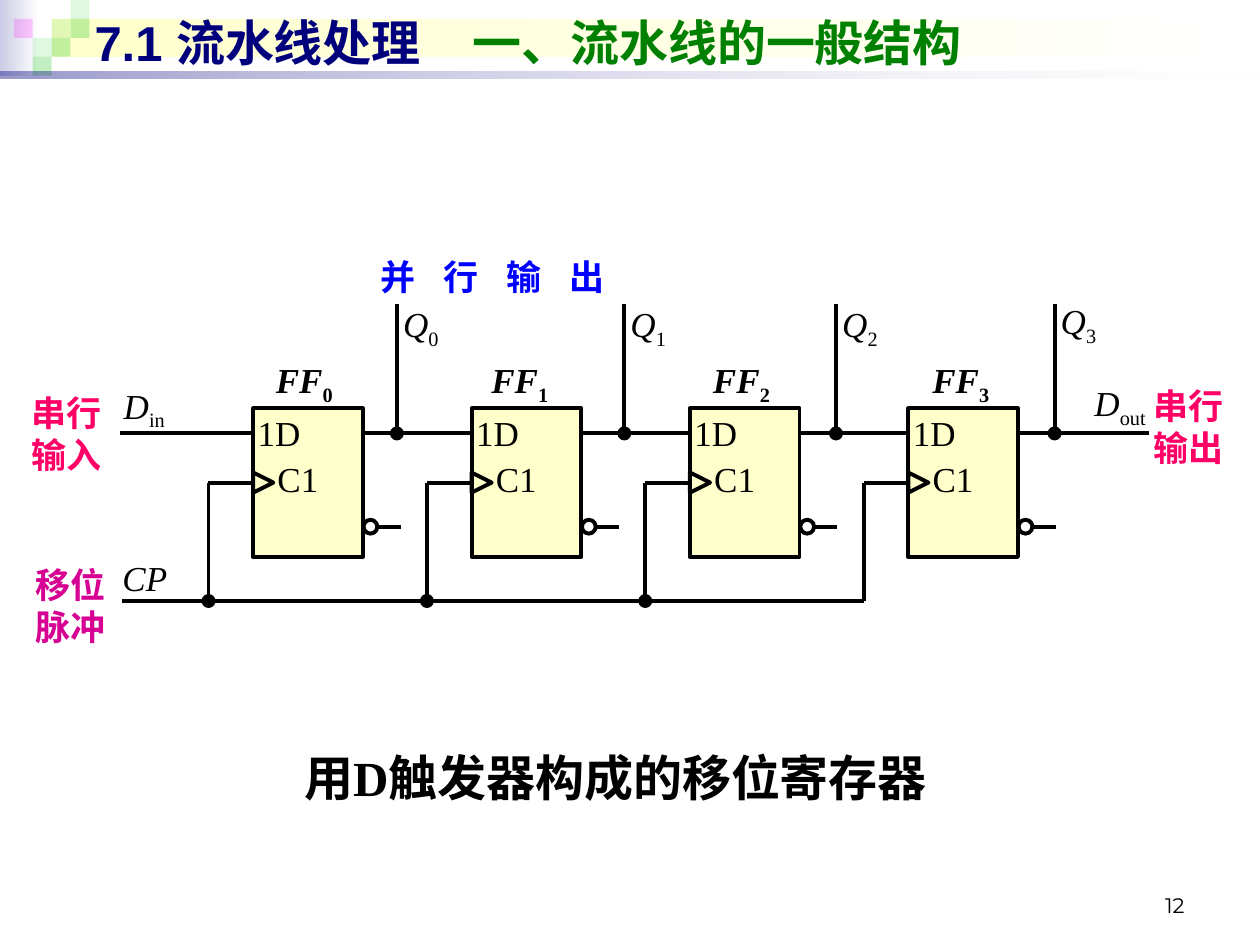
from lxml import etree
from pptx import Presentation
from pptx import util as u
from pptx.dml.color import RGBColor
from pptx.enum import shapes, text
from pptx.oxml.ns import qn

BLACK = RGBColor(0x00, 0x00, 0x00)
WHITE = RGBColor(0xFF, 0xFF, 0xFF)
CREAM = RGBColor(0xFF, 0xFF, 0xCC)
LAVENDER = RGBColor(0xCC, 0xCC, 0xE6)
NAVY = RGBColor(0x00, 0x00, 0x7D)
BLUE = RGBColor(0x00, 0x00, 0xFF)
GREEN = RGBColor(0x00, 0x80, 0x00)
LIME = RGBColor(0x33, 0xCC, 0x33)
MAGENTA = RGBColor(0xFF, 0x00, 0xFF)
PINK = RGBColor(0xFF, 0x00, 0x66)
PURPLE = RGBColor(0xD6, 0x00, 0x93)

SHAPE = shapes.MSO_SHAPE
LEFT, CENTER, RIGHT = text.PP_ALIGN.LEFT, text.PP_ALIGN.CENTER, text.PP_ALIGN.RIGHT
MIDDLE, BOTTOM = text.MSO_ANCHOR.MIDDLE, text.MSO_ANCHOR.BOTTOM
LINE_WIDTH = u.Pt(2.25)

prs = Presentation()
prs.slide_width, prs.slide_height = u.Inches(10), u.Inches(7.5)
G = prs.slide_width / 100  # square grid: 100 columns by 75 rows
s = prs.slides.add_slide(prs.slide_layouts[1])
title, body = s.placeholders


def draw(kind, box, colors=(), alphas=(), line=None):
    """Add a preset shape with no fill, a plain fill or a two-colour gradient."""
    sp = s.shapes.add_shape(kind, *[round(v * G) for v in box])
    sp.shadow.inherit = False
    if len(colors) == 2:
        sp.fill.gradient()
        sp.fill.gradient_angle = 0
        for stop, color in zip(sp.fill.gradient_stops, colors):
            stop.color.rgb = color
    elif colors:
        sp.fill.solid()
        sp.fill.fore_color.rgb = colors[0]
    else:
        sp.fill.background()
    for clr, alpha in zip(sp.element.spPr.iter(qn("a:srgbClr")), alphas):
        etree.SubElement(clr, qn("a:alpha"), val=str(alpha * 1000))
    if line is None:
        sp.line.fill.background()
    else:
        sp.line.color.rgb = line
        sp.line.width = LINE_WIDTH
    return sp


def write(box, paras, sp=None, align=CENTER, anchor=text.MSO_ANCHOR.TOP,
          wrap=False, tabs=(), color=BLACK, **fmt):
    """Write paragraphs of (text, format) runs into a placeholder or a new box."""
    rect = [round(v * G) for v in box]
    sp = sp or s.shapes.add_textbox(*rect)
    sp.left, sp.top, sp.width, sp.height = rect
    tf = sp.text_frame
    tf.auto_size = text.MSO_AUTO_SIZE.NONE
    tf.word_wrap, tf.vertical_anchor = wrap, anchor
    for i, runs in enumerate(paras):
        p = tf.add_paragraph() if i else tf.paragraphs[0]
        p.alignment, p.space_before = align, u.Pt(0)
        pPr = p._p.get_or_add_pPr()
        pPr.set("marL", "0")
        pPr.set("indent", "0")
        etree.SubElement(pPr, qn("a:buNone"))
        if tabs:
            tab_list = etree.SubElement(pPr, qn("a:tabLst"))
            for tab in tabs:
                etree.SubElement(tab_list, qn("a:tab"), pos=str(round(tab * G)), algn="l")
        for words, own in runs:
            r = p.add_run()
            r.text = words
            values = {"name": "Times New Roman", "size": u.Pt(20), **fmt, **own}
            if values.pop("sub", False):
                r._r.get_or_add_rPr().set("baseline", "-25000")
            r.font.color.rgb = values.pop("color", color)
            for key, value in values.items():
                setattr(r.font, key, value)


# Header decoration
draw(SHAPE.RECTANGLE, (0, 0, 3.1, 6), (LAVENDER, WHITE))
draw(SHAPE.RECTANGLE, (4.1, 1.5, 95.5, 3), (CREAM, WHITE))
TILE = 1.5
for col, row, color, alpha in [
    (2, 1, LIME, 15), (3, 0, LIME, 15), (3, 1, LIME, 30), (1, 2, LIME, 15),
    (0, 1, MAGENTA, 20), (2, 2, LIME, 30), (1, 3, LIME, 30),
]:
    draw(SHAPE.RECTANGLE, (1.1 + col * TILE, row * TILE, TILE, TILE), (color,), (alpha,))
draw(SHAPE.RECTANGLE, (0, 5.7, 100, 0.5), (NAVY, WHITE), (40, 10))

# Title (in front of the decoration), caption and page number
s.shapes.element.append(title.element)
write((6.5, 0.5, 92.3, 5.7),
      [[("7.1 流水线处理\t", {"color": NAVY}), ("一、流水线的一般结构", {"color": GREEN})]],
      title, LEFT, MIDDLE, True, tabs=[32], name="Arial", size=u.Pt(28), bold=True)
write((6.7, 58.8, 84.3, 5.7), [[("用D触发器构成的移位寄存器", {})]],
      body, wrap=True, size=u.Pt(28), bold=True)
write((71.7, 68.3, 23.3, 5), [[("12", {})]], align=RIGHT, anchor=BOTTOM,
      wrap=True, name="Montserrat", size=u.Pt(12))

# Flip-flops
FF_X, FF_Y, FF_W, FF_H, PITCH = 20.1, 32.4, 8.7, 11.8, 17.33
DATA_Y, CLOCK_Y, BUBBLE_Y, BUS_Y, TAP_Y = 34.4, FF_Y + FF_H / 2, 41.8, 47.7, 24.1
TAPS = [31.5, 49.55, 66.35, 83.7]
NAMES_X = [20.8, 37.9, 55.5, 72.9]
wires, dots = [], []
for n, (tap, name_x) in enumerate(zip(TAPS, NAMES_X)):
    x = FF_X + n * PITCH
    right, clock_x = x + FF_W, x - 3.55
    end = x + PITCH if n < 3 else 91.2
    ff = draw(SHAPE.RECTANGLE, (x, FF_Y, FF_W, FF_H), (CREAM,), line=BLACK)
    clock = draw(SHAPE.FLOWCHART_MERGE, (x, CLOCK_Y - 0.8, 1.6, 1.6), line=BLACK)
    clock.rotation = 270
    draw(SHAPE.OVAL, (right + 0.05, BUBBLE_Y - 0.55, 1.1, 1.1), line=BLACK)
    write((x - 0.7, 32.2, 5.5, 4.4), [[("1D", {})]])
    write((x + 0.9, 35.8, 5.3, 4.4), [[("C1", {})]])
    index = (str(n), {"italic": False, "sub": True})
    write((name_x, 28, 6.7, 4.4), [[("FF", {}), index]], bold=True, italic=True)
    write((tap - 0.6, 23.5 if n < 3 else 23.3, 5, 4.4), [[("Q", {}), index]], italic=True)
    wires += [
        (x, CLOCK_Y, clock_x, CLOCK_Y, ff),
        (clock_x, CLOCK_Y, clock_x, BUS_Y, None),
        (right + 1.2, BUBBLE_Y, right + 3, BUBBLE_Y, None),
        (right, DATA_Y, end, DATA_Y, None),
        (tap, DATA_Y, tap, TAP_Y, None),
    ]
    dots.append((tap, DATA_Y))
    if n < 3:
        dots.append((clock_x, BUS_Y))

# Wires and junctions
wires += [(9.5, DATA_Y, FF_X, DATA_Y, None), (clock_x, BUS_Y, 9.7, BUS_Y, None)]
for x1, y1, x2, y2, ff in wires:
    wire = s.shapes.add_connector(shapes.MSO_CONNECTOR.STRAIGHT,
                                  *[round(v * G) for v in (x1, y1, x2, y2)])
    wire.line.color.rgb = BLACK
    wire.line.width = LINE_WIDTH
    etree.SubElement(wire.element.spPr, qn("a:effectLst"))
    if ff is not None:
        wire.begin_connect(ff, 1)
for x, y in dots:
    draw(SHAPE.OVAL, (x - 0.4, y - 0.4, 0.8, 0.8), (BLACK,), line=BLACK)

# Signal names
for box, name, sub in [
    ((8.7, 30, 5.5, 4.4), "D", "in"),
    ((85.7, 29.8, 6.4, 4.4), "D", "out"),
    ((8.7, 43.7, 5.6, 4.4), "CP", ""),
]:
    runs = [(name, {"italic": True})]
    if sub:
        runs.append((sub, {"sub": True}))
    write(box, [runs])

# Chinese captions around the circuit
write((29.2, 19.8, 57.5, 4.4), [[("并\t行\t输\t出", {})]], align=LEFT, wrap=True,
      tabs=[16.6, 32.1, 48.1], color=BLUE, bold=True)
for x, y, lines, color in [
    (1.5, 30.6, ("串行", "输入"), PINK),
    (1.8, 44.2, ("移位", "脉冲"), PURPLE),
    (90.6, 30, ("串行", "输出"), PINK),
]:
    write((x, y, 7.6, 7.7), [[(line, {})] for line in lines], align=LEFT,
          color=color, bold=True)

prs.save("out.pptx")
